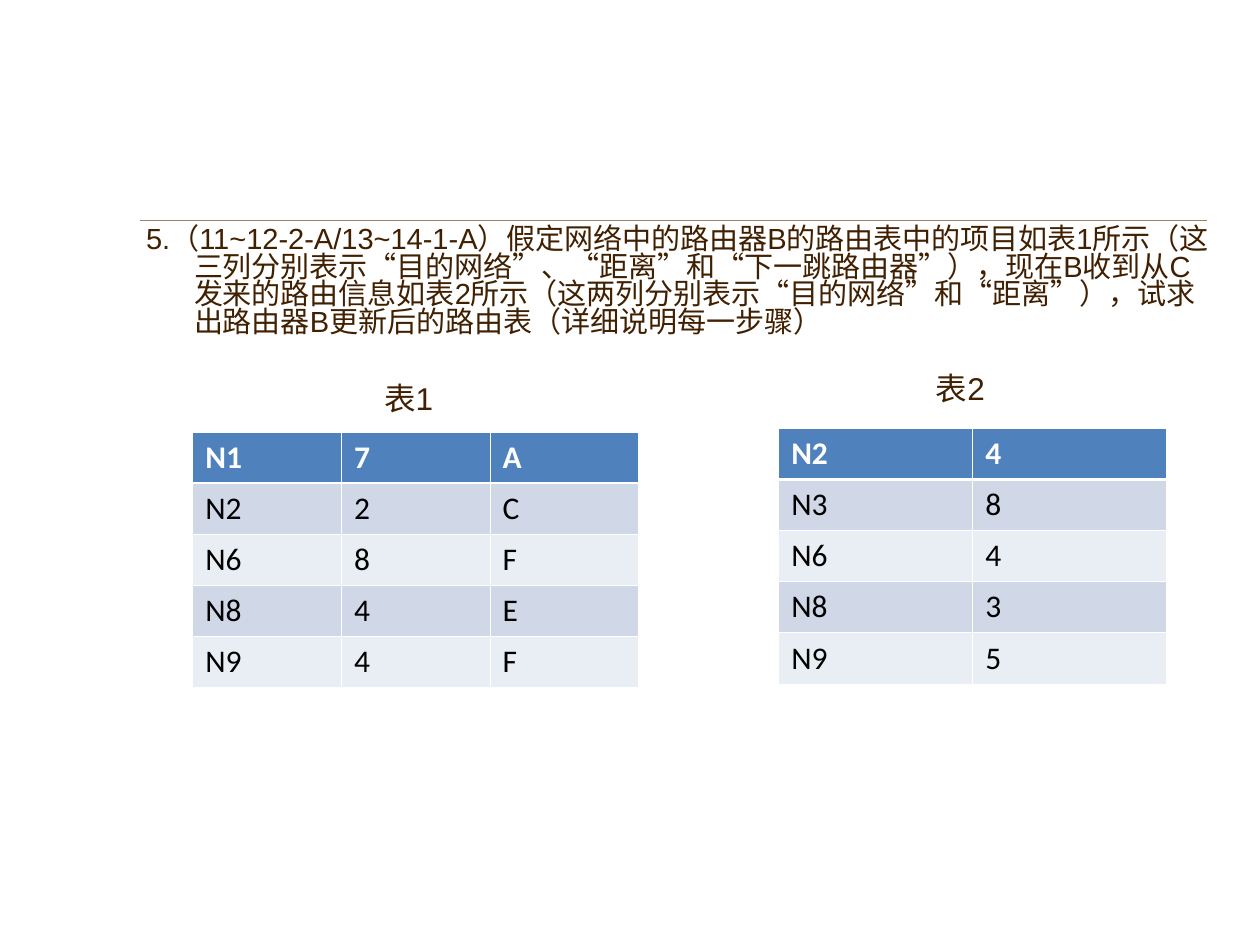
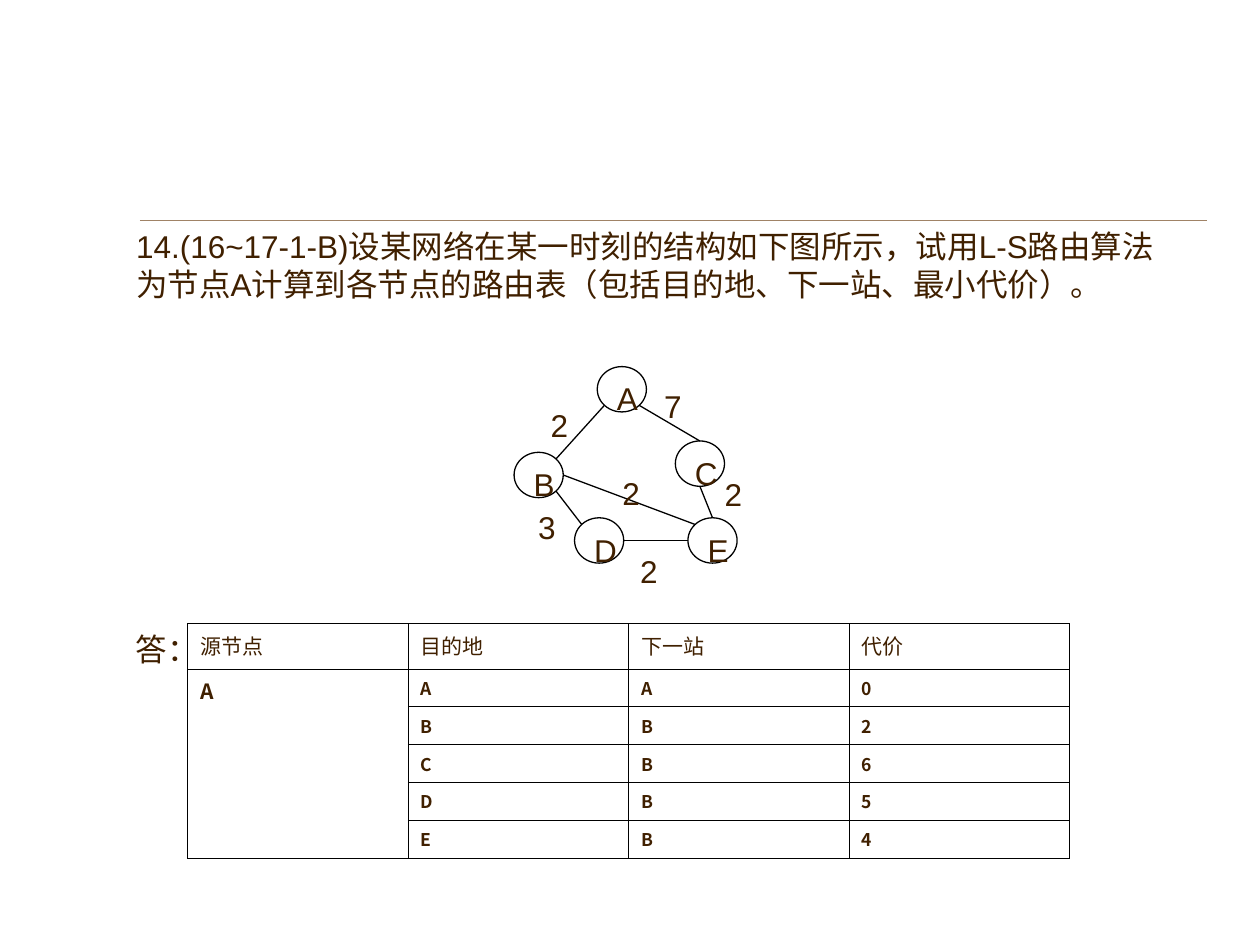
from math import sqrt

from lxml import etree
from pptx import Presentation
from pptx.dml.color import RGBColor
from pptx.enum import shapes, text
from pptx.oxml import ns
from pptx.util import Inches, Pt

BROWN = RGBColor(0x40, 0x20, 0x00)
TAN = RGBColor(0xA0, 0x83, 0x66)
BLACK = RGBColor(0x00, 0x00, 0x00)
WHITE = RGBColor(0xFF, 0xFF, 0xFF)
HEADER_BLUE = RGBColor(0x4F, 0x81, 0xBD)
BAND_DARK = RGBColor(0xD0, 0xD8, 0xE8)
BAND_LIGHT = RGBColor(0xE9, 0xED, 0xF4)

DISTANCE_QUESTION = (
    "5.（11~12-2-A/13~14-1-A）假定网络中的路由器B的路由表中的项目如表1所示"
    "（这三列分别表示“目的网络”、“距离”和“下一跳路由器”），现在B收到从C发来的"
    "路由信息如表2所示（这两列分别表示“目的网络”和“距离”），试求出路由器B"
    "更新后的路由表（详细说明每一步骤）"
)
LINK_STATE_QUESTION = (
    "14.(16~17-1-B)设某网络在某一时刻的结构如下图所示，试用L-S路由算法"
    "为节点A计算到各节点的路由表（包括目的地、下一站、最小代价）。"
)

TABLE_1 = ["N1 7 A", "N2 2 C", "N6 8 F", "N8 4 E", "N9 4 F"]
TABLE_2 = ["N2 4", "N3 8", "N6 4", "N8 3", "N9 5"]
ANSWER = ["源节点 目的地 下一站 代价", "A A A 0", "- B B 2", "- C B 6", "- D B 5", "- E B 4"]

NODE_W, NODE_H = 0.39, 0.36
NODES = {"A": (0.66, 0), "D": (0.48, 1.2), "B": (0, 0.68), "E": (1.38, 1.2), "C": (1.28, 0.59)}
DIAG = sqrt(0.5)
PORTS = {
    "top": (0, -1), "bottom": (0, 1), "left": (-1, 0), "right": (1, 0),
    "top left": (-DIAG, -DIAG), "top right": (DIAG, -DIAG),
    "bottom left": (-DIAG, DIAG), "bottom right": (DIAG, DIAG),
}
EDGES = [
    ("A", "bottom left", "B", "top right", "2", (0.29, 0.31)),
    ("A", "bottom right", "C", "top", "7", (1.19, 0.16)),
    ("B", "bottom right", "D", "top left", "3", (0.19, 1.12)),
    ("C", "bottom", "E", "top", "2", (1.67, 0.86)),
    ("E", "left", "D", "right", "2", (1, 1.47)),
    ("B", "right", "E", "top left", "2", (0.86, 0.85)),
]


def format_text(p, size=18, font="Arial", color=BROWN, bold=False):
    for r in p.runs:
        r.font.size = Pt(size)
        r.font.name = font
        r.font.color.rgb = color
        r.font.bold = bold


def add_line(slide, x1, y1, x2, y2, color, width):
    line = slide.shapes.add_connector(
        shapes.MSO_CONNECTOR.STRAIGHT, Inches(x1), Inches(y1), Inches(x2), Inches(y2))
    line.line.color.rgb = color
    line.line.width = Pt(width)
    etree.SubElement(line._element.spPr, ns.qn("a:effectLst"))


def add_label(slide, x, y, w, h, label, inset=True, wrap=True):
    sp = slide.shapes.add_textbox(Inches(x), Inches(y), Inches(w), Inches(h))
    tf = sp.text_frame
    tf.word_wrap = wrap
    if not inset:
        tf.margin_left = tf.margin_right = tf.margin_top = tf.margin_bottom = 0
    tf.text = label
    format_text(tf.paragraphs[0])


def add_question_slide(prs, box, question, size, indent=0, spacing=1.0):
    slide = prs.slides.add_slide(prs.slide_layouts[1])
    title = slide.shapes.title._element
    title.getparent().remove(title)
    add_line(slide, 1.11, 1.75, 9.58, 1.75, TAN, 0.25)
    body = slide.placeholders[1]
    body.left, body.top, body.width, body.height = map(Inches, box)
    tf = body.text_frame
    tf.auto_size = text.MSO_AUTO_SIZE.NONE
    tf.text = question
    p = tf.paragraphs[0]
    p.space_before = Pt(0)
    p.line_spacing = spacing
    pPr = p._p.get_or_add_pPr()
    pPr.set("marL", str(Inches(indent)))
    pPr.set("indent", str(-Inches(indent)))
    etree.SubElement(pPr, ns.qn("a:buNone"))
    format_text(p, size)
    return slide


def set_border(cell, side, color, width):
    tcPr = cell._tc.get_or_add_tcPr()
    ln = etree.SubElement(tcPr, ns.qn(f"a:ln{side}"), w=str(Pt(width)))
    fill = etree.SubElement(ln, ns.qn("a:solidFill"))
    etree.SubElement(fill, ns.qn("a:srgbClr"), val=str(color))


def add_grid(slide, x, y, col_w, row_heights, lines):
    rows = [line.split() for line in lines]
    cols = len(rows[0])
    frame = slide.shapes.add_table(
        len(rows), cols, Inches(x), Inches(y), Inches(col_w * cols), Inches(sum(row_heights)))
    table = frame.table
    table.first_row = table.horz_banding = False
    for col in table.columns:
        col.width = Inches(col_w)
    for row, height in zip(table.rows, row_heights):
        row.height = Inches(height)
    for i, values in enumerate(rows):
        for j, value in enumerate(values):
            if value != "-":
                table.cell(i, j).text = value
    return table


def add_routing_table(slide, x, y, col_w, lines):
    table = add_grid(slide, x, y, col_w, [0.4] * len(lines), lines)
    for i, row in enumerate(table.rows):
        header = i == 0
        for cell in row.cells:
            for side in "LRTB":
                thick = (i, side) in ((0, "B"), (1, "T"))
                set_border(cell, side, WHITE, 1.47 if thick else 0.45)
            cell.fill.solid()
            cell.fill.fore_color.rgb = (
                HEADER_BLUE if header else BAND_DARK if i % 2 else BAND_LIGHT)
            format_text(cell.text_frame.paragraphs[0], 18, "Calibri",
                        WHITE if header else BLACK, header)


def add_answer_table(slide, x, y):
    table = add_grid(slide, x, y, 1.75, [0.36] + [0.3] * 5, ANSWER)
    table.cell(1, 0).merge(table.cell(5, 0))
    for i, row in enumerate(table.rows):
        for j, cell in enumerate(row.cells):
            for side in "LRTB":
                set_border(cell, side, BLACK, 0.45)
            cell.fill.background()
            p = cell.text_frame.paragraphs[0]
            if i == 0:
                format_text(p, 12, "Noto Sans Mono")
            else:
                format_text(p, 10 if j else 12, "Noto Sans CJK SC", bold=True)


def add_network(slide, x, y):
    def port(name, side):
        left, top = NODES[name]
        dx, dy = PORTS[side]
        return x + left + NODE_W / 2 * (1 + dx), y + top + NODE_H / 2 * (1 + dy)

    for name, (left, top) in NODES.items():
        sp = slide.shapes.add_shape(
            shapes.MSO_SHAPE.OVAL, Inches(x + left), Inches(y + top),
            Inches(NODE_W), Inches(NODE_H))
        sp.shadow.inherit = False
        sp.fill.solid()
        sp.fill.fore_color.rgb = WHITE
        sp.line.color.rgb = BLACK
        sp.line.width = Pt(0.75)
        tf = sp.text_frame
        tf.vertical_anchor = text.MSO_ANCHOR.TOP
        tf.text = name
        p = tf.paragraphs[0]
        p.alignment = text.PP_ALIGN.LEFT
        format_text(p)

    for start, start_side, end, end_side, cost, (dx, dy) in EDGES:
        add_line(slide, *port(start, start_side), *port(end, end_side), BLACK, 0.75)
        add_label(slide, x + dx, y + dy, 0.19, 0.26, cost, inset=False)


def build_distance_vector(prs):
    slide = add_question_slide(
        prs, (1.06, 1.75, 8.66, 1.29), DISTANCE_QUESTION, 16.6, 0.38, 0.8)
    add_routing_table(slide, 1.53, 3.43, 1.18, TABLE_1)
    add_routing_table(slide, 6.18, 3.4, 1.54, TABLE_2)
    add_label(slide, 2.95, 2.96, 0.87, 0.4, "表1")
    add_label(slide, 7.33, 2.88, 0.65, 0.4, "表2", wrap=False)


def build_link_state(prs):
    slide = add_question_slide(prs, (0.98, 1.75, 8.52, 1), LINK_STATE_QUESTION, 18)
    add_label(slide, 0.98, 4.95, 0.8, 0.4, "答：")
    add_network(slide, 4.08, 2.91)
    add_answer_table(slide, 1.49, 4.95)


def main():
    prs = Presentation()
    prs.slide_width, prs.slide_height = Inches(10), Inches(7.5)
    build_distance_vector(prs)
    build_link_state(prs)
    prs.save("out.pptx")


if __name__ == "__main__":
    main()
